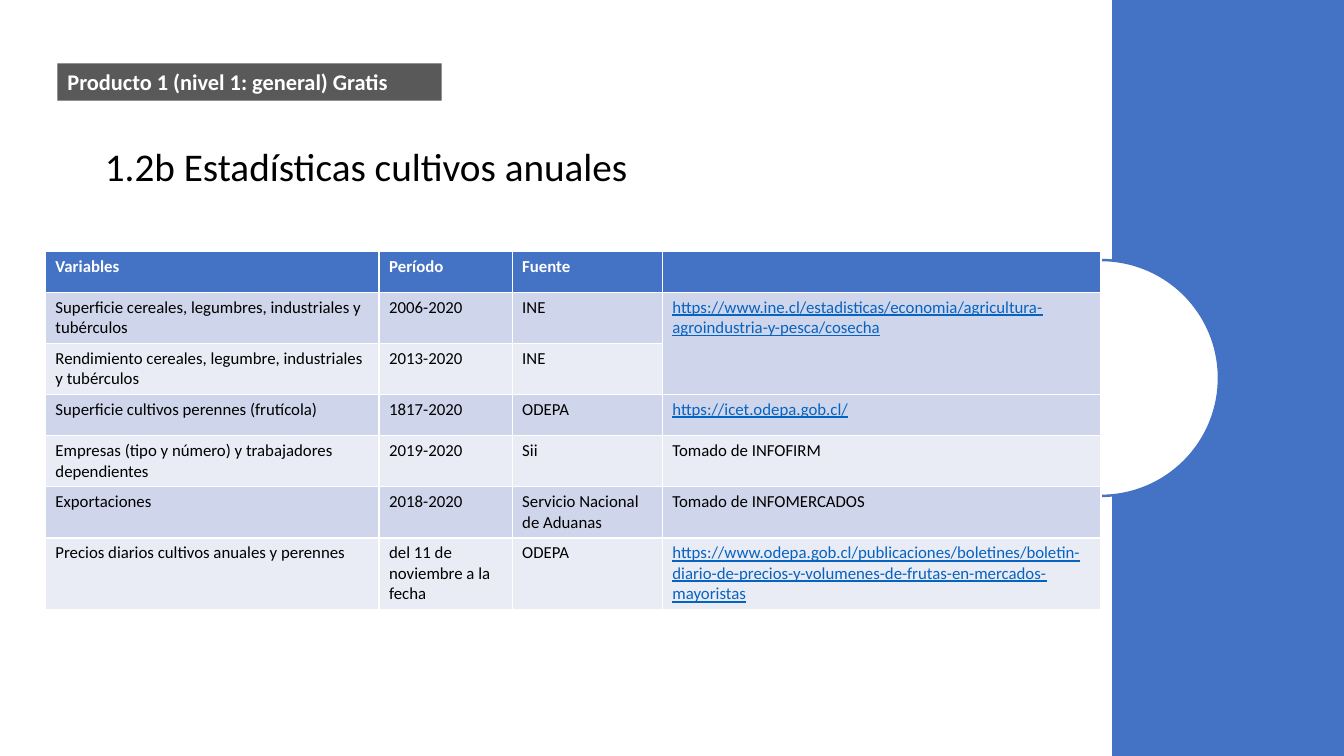
from pptx import Presentation
from pptx.dml.color import RGBColor
from pptx.enum.shapes import MSO_SHAPE
from pptx.enum.text import MSO_ANCHOR, PP_ALIGN
from pptx.util import Inches, Pt

HEADER = ["Variables", "Período", "Fuente", ""]
ROWS = [
    ["Superficie cereales, legumbres, industriales y tubérculos", "2006-2020", "INE",
     "https://www.ine.cl/estadisticas/economia/agricultura-agroindustria-y-pesca/cosecha"],
    ["Rendimiento cereales, legumbre, industriales y tubérculos", "2013-2020", "INE", ""],
    ["Superficie cultivos perennes (frutícola)", "1817-2020", "ODEPA",
     "https://icet.odepa.gob.cl/"],
    ["Empresas (tipo y número) y trabajadores dependientes", "2019-2020", "Sii",
     "Tomado de INFOFIRM"],
    ["Exportaciones", "2018-2020", "Servicio Nacional de Aduanas",
     "Tomado de INFOMERCADOS"],
    ["Precios diarios cultivos anuales y perennes", "del 11 de noviembre a la fecha", "ODEPA",
     "https://www.odepa.gob.cl/publicaciones/boletines/"
     "boletin-diario-de-precios-y-volumenes-de-frutas-en-mercados-mayoristas"],
]


def rgb(value):
    return RGBColor.from_string(value)


class SlideBuilder:
    """Holds the style and the current slide, and adds each kind of element."""

    font = "Calibri"
    blue, gray, white, black = "4472C4", "595959", "FFFFFF", "000000"
    link = "0563C1"
    bands = ("CFD5EA", "E9EBF5")

    def __init__(self, prs):
        self.s = prs.slides.add_slide(prs.slide_layouts[5])

    def set_text(self, tf, text, size, color, bold=False, underline=False):
        tf.text = text
        p = tf.paragraphs[0]
        p.alignment = PP_ALIGN.LEFT
        for r in p.runs:
            r.font.name = self.font
            r.font.size = Pt(size)
            r.font.bold = bold
            r.font.underline = underline
            r.font.color.rgb = rgb(color)
        return p

    def title(self, text, x, y, w, h):
        sp = self.s.shapes.title
        sp.left, sp.top, sp.width, sp.height = map(Inches, (x, y, w, h))
        sp.text_frame.vertical_anchor = MSO_ANCHOR.MIDDLE
        self.set_text(sp.text_frame, text, 28, self.black).line_spacing = 0.9

    def shape(self, kind, x, y, w, h, fill, line=None):
        sp = self.s.shapes.add_shape(kind, *map(Inches, (x, y, w, h)))
        sp.shadow.inherit = False
        sp.fill.solid()
        sp.fill.fore_color.rgb = rgb(fill)
        if line:
            sp.line.color.rgb = rgb(line)
            sp.line.width = Pt(1.75)
        else:
            sp.line.fill.background()
        return sp

    def label(self, text, x, y, w, h):
        tf = self.shape(MSO_SHAPE.RECTANGLE, x, y, w, h, self.gray).text_frame
        tf.word_wrap = True
        tf.vertical_anchor = MSO_ANCHOR.TOP
        self.set_text(tf, text, 16, self.white, bold=True).space_after = Pt(6)

    def table(self, rows, x, y, widths, row_height):
        frame = self.s.shapes.add_table(
            len(rows), len(widths), Inches(x), Inches(y),
            Inches(sum(widths)), Inches(row_height * len(rows)))
        table = frame.table
        for column, width in zip(table.columns, widths):
            column.width = Inches(width)
        for i, row in enumerate(rows):
            table.rows[i].height = Inches(row_height)
            for j, text in enumerate(row):
                cell = table.cell(i, j)
                cell.fill.solid()
                cell.fill.fore_color.rgb = rgb(self.bands[(i - 1) % 2] if i else self.blue)
                is_link = text.startswith("https")
                color = self.link if is_link else self.black if i else self.white
                self.set_text(cell.text_frame, text, 12, color, bold=i == 0, underline=is_link)
        return table


def main():
    prs = Presentation()
    prs.slide_width, prs.slide_height = Inches(13.33), Inches(7.5)
    slide = SlideBuilder(prs)
    slide.title("1.2b Estadísticas cultivos anuales", 0.94, 1.23, 8.17, 0.88)
    slide.shape(MSO_SHAPE.RECTANGLE, 11.03, 0, 2.3, 7.5, slide.blue)
    slide.shape(MSO_SHAPE.OVAL, 9.75, 2.58, 2.34, 2.34, slide.white, slide.blue)
    slide.label("Producto 1 (nivel 1: general) Gratis", 0.57, 0.63, 3.81, 0.37)
    table = slide.table([HEADER] + ROWS, 0.45, 2.49, [3.31, 1.32, 1.49, 4.35], 0.41)
    table.cell(1, 3).merge(table.cell(2, 3))
    prs.save("out.pptx")


if __name__ == "__main__":
    main()
